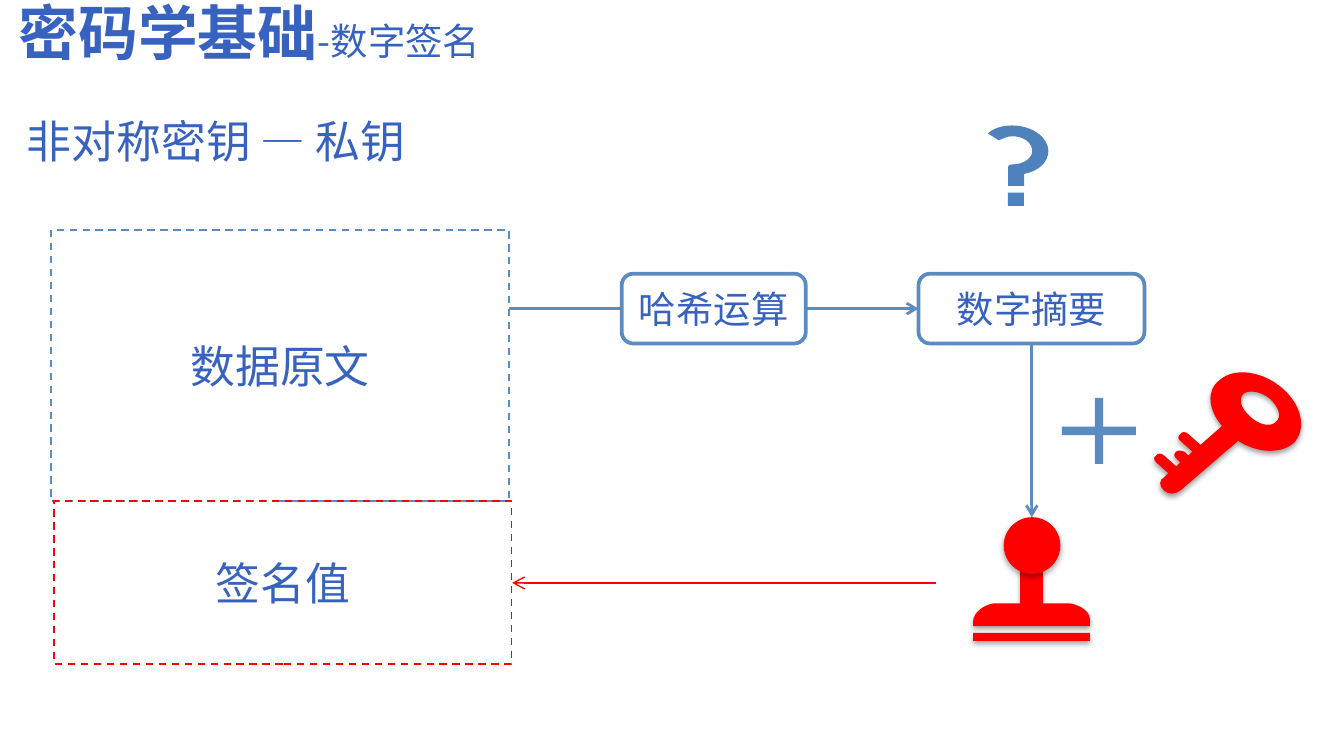
from dataclasses import dataclass

from lxml import etree
from pptx import Presentation
from pptx.dml.color import RGBColor
from pptx.enum.dml import MSO_LINE
from pptx.enum.shapes import MSO_CONNECTOR, MSO_SHAPE
from pptx.enum.text import MSO_ANCHOR, MSO_AUTO_SIZE, PP_ALIGN
from pptx.oxml.ns import qn
from pptx.util import Cm, Pt

RECT, ROUNDED, OVAL = MSO_SHAPE.RECTANGLE, MSO_SHAPE.ROUNDED_RECTANGLE, MSO_SHAPE.OVAL
PLUS, STRAIGHT, DASH = MSO_SHAPE.MATH_PLUS, MSO_CONNECTOR.STRAIGHT, MSO_LINE.DASH
TOP, MIDDLE = MSO_ANCHOR.TOP, MSO_ANCHOR.MIDDLE
LEFT, CENTER = PP_ALIGN.LEFT, PP_ALIGN.CENTER
FIXED = MSO_AUTO_SIZE.NONE


@dataclass(frozen=True)
class Theme:
    font: str = "Noto Sans CJK SC"
    text: str = "3862C0"
    blue: str = "5B8CC1"
    question: str = "4F81BD"
    red: str = "FF0000"
    white: str = "FFFFFF"
    title: int = 32
    body: int = 24
    small: int = 20


THEME = Theme()

# Outlines on a grid of 0.01 inch: a pair is a corner, six numbers are a curve
GRID = 0.0254
KEY = [
    [(63, 55), (20, 92), (16, 95, 11, 95, 8, 92), (4, 89, 4, 84, 8, 82), (11, 79),
     (2, 71), (0, 69, 0, 67, 2, 66), (3, 64, 6, 64, 8, 66), (17, 74), (20, 71),
     (17, 68), (15, 67, 15, 64, 17, 63), (18, 62, 21, 62, 23, 63), (26, 66), (29, 63),
     (20, 55), (18, 54, 18, 51, 20, 50), (21, 48, 24, 48, 26, 50), (35, 58), (51, 44),
     (41, 32, 39, 18, 49, 10), (60, 0, 81, 3, 96, 16), (111, 29, 114, 47, 104, 57),
     (94, 65, 77, 64, 63, 55)],
    [(87, 24), (80, 18, 71, 17, 67, 20), (63, 24, 65, 31, 72, 37),
     (78, 43, 87, 45, 91, 41), (96, 37, 93, 30, 87, 24)],
]
STAMP = [
    [(0, 86), (87, 86), (87, 92), (0, 92)],
    [(70, 64), (52, 64), (52, 38), (51, 37, 49, 37, 47, 37), (44, 37, 41, 37, 38, 37),
     (37, 37, 36, 37, 35, 37), (35, 64), (17, 64), (10, 64, 0, 70, 0, 78),
     (0, 81), (87, 81), (87, 76), (87, 69, 77, 64, 70, 64)],
]
HOOK = [
    [(45, 19), (45, 9, 33, 0, 18, 0), (11, 0, 4, 2, 0, 6), (8, 11), (11, 10, 14, 8, 18, 8),
     (27, 8, 33, 13, 33, 19), (33, 24, 27, 29, 18, 29), (15, 29, 15, 31, 15, 31), (15, 45),
     (27, 45), (27, 36), (38, 34, 45, 27, 45, 19)],
]


def style_font(para, size=None):
    font = para.font
    font.name = THEME.font
    font.color.rgb = RGBColor.from_string(THEME.text)
    if size:
        font.size = Pt(size)
    etree.SubElement(font._rPr, qn("a:ea"), typeface=THEME.font)


def write(shape, text, size, align=CENTER):
    frame = shape.text_frame
    frame.word_wrap = True
    frame.vertical_anchor = MIDDLE
    frame.margin_left = frame.margin_right = frame.margin_top = frame.margin_bottom = 0
    para = frame.paragraphs[0]
    para.text = text
    para.alignment = align
    style_font(para, size)


def paint(shape, fill=None, line=None, width=1, dash=None):
    shape.shadow.inherit = False
    if fill:
        shape.fill.solid()
        shape.fill.fore_color.rgb = RGBColor.from_string(fill)
    else:
        shape.fill.background()
    if line:
        shape.line.color.rgb = RGBColor.from_string(line)
        shape.line.width = Pt(width)
        shape.line.dash_style = dash
    else:
        shape.line.fill.background()


def add_shadow(shape, opacity):
    effects = shape._element.spPr.find(qn("a:effectLst"))
    outer = etree.SubElement(effects, qn("a:outerShdw"), blurRad=str(Pt(3.1)),
                             dist=str(Pt(1.7)), dir="5400000", rotWithShape="0")
    color = etree.SubElement(outer, qn("a:srgbClr"), val="000000")
    etree.SubElement(color, qn("a:alpha"), val=str(opacity * 1000))


def add_preset(shapes, kind, box, **look):
    shape = shapes.add_shape(kind, *map(Cm, box))
    paint(shape, **look)
    return shape


def bend(shape, contours):
    """Join each three segments that stand for a curve into one cubic curve."""
    segments = iter(list(shape._element.iter(qn("a:lnTo"))))
    for contour in contours:
        for piece in contour[1:]:
            parts = [next(segments) for _ in range(len(piece) // 2)]
            if len(parts) == 3:
                curve = etree.Element(qn("a:cubicBezTo"))
                parts[0].addprevious(curve)
                for part in parts:
                    curve.append(part[0])
                    part.getparent().remove(part)


def add_outline(shapes, contours, left, top, fill):
    builder = None
    for contour in contours:
        points = [(Cm(piece[i] * GRID), Cm(piece[i + 1] * GRID))
                  for piece in contour for i in range(0, len(piece), 2)]
        if builder is None:
            builder = shapes.build_freeform(*points[0])
        else:
            builder.move_to(*points[0])
        builder.add_line_segments(points[1:], close=True)
    shape = builder.convert_to_shape(Cm(left), Cm(top))
    bend(shape, contours)
    paint(shape, fill=fill)
    return shape


def add_arrow(page, start, end, color, width):
    arrow = page.shapes.add_connector(STRAIGHT, *map(Cm, (*start, *end)))
    arrow.line.color.rgb = RGBColor.from_string(color)
    arrow.line.width = Pt(width)
    etree.SubElement(arrow.line._get_or_add_ln(), qn("a:tailEnd"), type="arrow")
    etree.SubElement(arrow._element.spPr, qn("a:effectLst"))


def add_headings(page, title_box, heading_box):
    title = page.shapes.title
    title.left, title.top, title.width, title.height = map(Cm, title_box)
    frame = title.text_frame
    frame.auto_size = FIXED
    frame.vertical_anchor = TOP
    para = frame.paragraphs[0]
    para.alignment = LEFT
    para.line_spacing = 0.9
    style_font(para)
    for text, size, bold in (("密码学基础", THEME.title, True),
                             ("-数字签名", THEME.small, False)):
        span = para.add_run()
        span.text = text
        span.font.size = Pt(size)
        span.font.bold = bold
    heading = page.shapes.add_textbox(*map(Cm, heading_box))
    write(heading, "非对称密钥 — 私钥", THEME.body, LEFT)


def add_document(page, box):
    """Source data above its signature value."""
    left, top, width, height = box
    data_height = 5.13
    data = add_preset(page.shapes, RECT, (left, top, width, data_height),
                      line=THEME.blue, dash=DASH)
    write(data, "数据原文", THEME.body)
    signature = add_preset(page.shapes, RECT,
                           (left + 0.05, top + data_height, width, height - data_height),
                           line=THEME.red, dash=DASH)
    write(signature, "签名值", THEME.body)


def add_hash_flow(page, box):
    """Arrow through the hash step to the digest, within the given box."""
    left, top, width, height = box
    hash_width, digest_width = 3.48, 4.27
    digest_left = left + width - digest_width
    middle = top + height / 2
    add_arrow(page, (left, middle), (digest_left, middle), THEME.blue, 1.5)
    for text, step_left, step_width in (("哈希运算", left + 2.13, hash_width),
                                        ("数字摘要", digest_left, digest_width)):
        step = add_preset(page.shapes, ROUNDED, (step_left, top, step_width, height),
                          fill=THEME.white, line=THEME.blue, width=2)
        write(step, text, THEME.small)


def add_question_mark(page, left, top):
    shapes = page.shapes.add_group_shape().shapes
    add_outline(shapes, HOOK, left, top, THEME.question)
    add_preset(shapes, RECT, (left + 0.38, top + 1.27, 0.3, 0.25), fill=THEME.question)


def add_signing(page, left, top):
    """Digest plus private key, leading down to the stamp and back to the signature."""
    add_arrow(page, (left + 1.11, top - 3.28), (left + 1.11, top), THEME.blue, 1.5)
    plus = add_preset(page.shapes, PLUS, (left + 1.43, top - 2.48, 1.9, 1.7), fill=THEME.blue)
    plus.adjustments[0] = 0.092
    add_shadow(add_outline(page.shapes, KEY, left + 3.41, top - 2.84, THEME.red), 38)
    shapes = page.shapes.add_group_shape().shapes
    add_shadow(add_outline(shapes, STAMP, left, top, THEME.red), 35)
    add_shadow(add_preset(shapes, OVAL, (left + 0.58, top, 1.07, 1.07), fill=THEME.red), 35)
    add_arrow(page, (left - 0.71, top + 1.24), (left - 8.71, top + 1.24), THEME.red, 0.75)


def main():
    deck = Presentation()
    deck.slide_width, deck.slide_height = Cm(25.4), Cm(14.28)
    page = deck.slides.add_slide(deck.slide_layouts[5])
    add_headings(page, (0.1, -0.05, 16.61, 1.24), (0.51, 2.14, 8.66, 1.02))
    add_document(page, (0.97, 4.34, 8.65, 8.2))
    add_hash_flow(page, (9.62, 5.17, 12.01, 1.32))
    add_question_mark(page, 18.67, 2.37)
    add_signing(page, 18.39, 9.77)
    deck.save("out.pptx")


if __name__ == "__main__":
    main()
